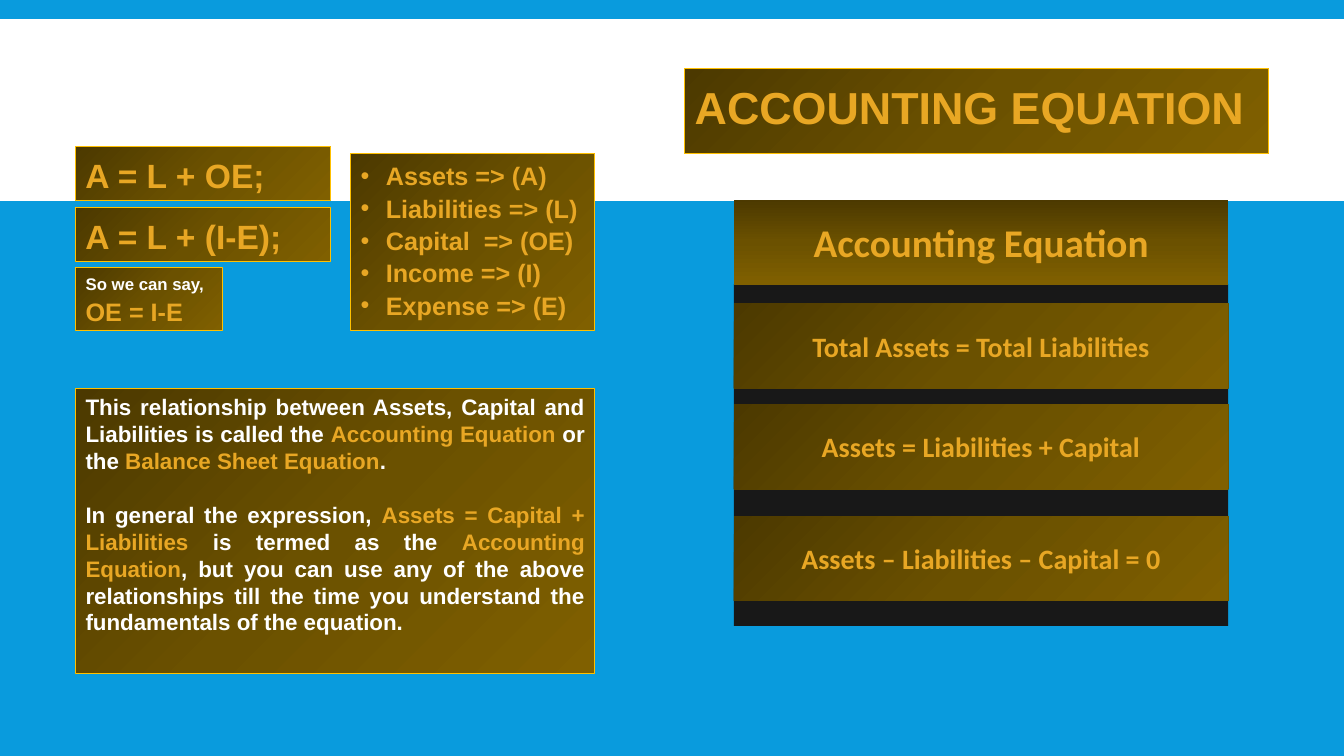
"""Build the accounting equation slide."""
from copy import deepcopy
from dataclasses import dataclass
from typing import Optional

from lxml.etree import SubElement
from pptx import Presentation
from pptx.dml.color import RGBColor
from pptx.enum.shapes import MSO_SHAPE as Shp
from pptx.enum.text import MSO_ANCHOR as Anchor, MSO_AUTO_SIZE as Auto, PP_ALIGN as Align
from pptx.oxml.ns import qn
from pptx.util import Pt

COLORS = {"sky": "099BDD", "white": "FFFFFF", "panel": "181818", "gold": "E8A724",
          "line": "FFC000", "dark": "4C3900", "mid": "6B5100", "light": "806000"}


@dataclass
class Span:
    """A stretch of text in one colour and size."""
    text: str
    size: float
    color: str = "gold"


@dataclass
class Box:
    """A gradient box with its text; spacing is a factor or a Pt length."""
    left: float
    top: float
    width: float
    height: float
    paras: list[list[Span]]
    font: str = "Arial"
    align: Align = Align.LEFT
    anchor: Anchor = Anchor.MIDDLE
    spacing: float = 1.0
    gap: float = 0
    angle: int = 315
    bordered: bool = True
    bullet: Optional[str] = None
    holder: Optional[int] = None


def rgb(name: str) -> RGBColor:
    """Return a named colour."""
    return RGBColor.from_string(COLORS[name])


def add_rect(s, left: float, top: float, width: float, height: float, color: str) -> None:
    """Draw a plain filled rectangle."""
    sp = s.shapes.add_shape(Shp.RECTANGLE, Pt(left), Pt(top), Pt(width), Pt(height))
    sp.shadow.inherit = False
    sp.fill.solid()
    sp.fill.fore_color.rgb = rgb(color)
    sp.line.fill.background()


def fill_gradient(sp, angle: int) -> None:
    """Fill a shape with the three-stop brown gradient."""
    sp.fill.gradient()
    sp.fill.gradient_angle = angle
    stops = sp._element.spPr.find(qn("a:gradFill")).find(qn("a:gsLst"))
    stops.insert(1, deepcopy(stops[0]))
    for stop, name, pos in zip(sp.fill.gradient_stops, ("dark", "mid", "light"), (0, 0.5, 1)):
        stop.color.rgb = rgb(name)
        stop.position = pos


def set_bullet(p, char: Optional[str]) -> None:
    """Give a paragraph a hanging bullet, or none."""
    pPr = p._p.get_or_add_pPr()
    indent = Pt(18) if char else 0
    pPr.set("marL", str(indent))
    pPr.set("indent", str(-indent))
    if char:
        SubElement(pPr, qn("a:buFont"), typeface="Arial")
        SubElement(pPr, qn("a:buChar"), char=char)
    else:
        SubElement(pPr, qn("a:buNone"))


def add_box(s, box: Box) -> None:
    """Draw a gradient box, in a placeholder where one is named."""
    frame = [Pt(v) for v in (box.left, box.top, box.width, box.height)]
    if box.holder is None:
        sp = s.shapes.add_shape(Shp.RECTANGLE, *frame)
        sp.shadow.inherit = False
    else:
        sp = s.placeholders[box.holder]
        sp.left, sp.top, sp.width, sp.height = frame
    fill_gradient(sp, box.angle)
    if box.bordered:
        sp.line.color.rgb = rgb("line")
        sp.line.width = Pt(0.75)
    else:
        sp.line.fill.background()
    tf = sp.text_frame
    tf.word_wrap = True
    tf.auto_size = Auto.NONE
    tf.vertical_anchor = box.anchor
    for i, spans in enumerate(box.paras):
        p = tf.paragraphs[0] if i == 0 else tf.add_paragraph()
        p.alignment = box.align
        p.line_spacing = box.spacing
        p.space_before = Pt(box.gap if i else 0)
        p.space_after = Pt(0)
        set_bullet(p, box.bullet)
        for span in spans:
            r = p.add_run()
            r.text = span.text
            r.font.name = box.font
            r.font.size = Pt(span.size)
            r.font.bold = True
            r.font.color.rgb = rgb(span.color)


ACCOUNTS = ["Assets => (A)", "Liabilities => (L)", "Capital  => (OE)", "Income => (I)",
            "Expense => (E)"]
FORMULAS = [(104.4, "A = L + OE;"), (148.3, "A = L + (I-E);")]
BANDS = [(142.6, "Accounting Equation", 28, 270),
         (216.7, "Total Assets = Total Liabilities", 20, 315),
         (288.7, "Assets = Liabilities + Capital", 20, 315),
         (368.6, "Assets – Liabilities – Capital = 0", 20, 315)]
RELATIONSHIP = [
    [Span("This relationship between Assets, Capital and Liabilities is called the ", 16, "white"),
     Span("Accounting Equation", 16), Span(" or the ", 16, "white"),
     Span("Balance Sheet Equation", 16), Span(".", 16, "white")],
    [Span("In general the expression, ", 16, "white"),
     Span("Assets = Capital + Liabilities ", 16),
     Span("is termed as the ", 16, "white"), Span("Accounting Equation", 16),
     Span(", but you can use any of the above relationships till the time you understand "
          "the fundamentals of the equation.", 16, "white")]]

BOXES = [
    Box(489, 49, 417, 60.5, [[Span("ACCOUNTING EQUATION", 32)]], spacing=0.85, holder=0),
    Box(54, 191, 105, 45.2, [[Span("So we can say,", 12, "white")], [Span("OE = I-E", 18)]],
        anchor=Anchor.TOP, spacing=1.07, holder=1),
    Box(250.4, 109.6, 174.4, 126.6, [[Span(text, 18)] for text in ACCOUNTS],
        align=Align.JUSTIFY, anchor=Anchor.TOP, spacing=Pt(23.1), bullet="•", holder=2),
    Box(54, 277.6, 370.8, 203.5, RELATIONSHIP, align=Align.JUSTIFY, anchor=Anchor.TOP,
        spacing=Pt(19.2), gap=19.2),
    *[Box(524.2, top, 353, 60.7, [[Span(text, size)]], font="Calibri", align=Align.CENTER,
          angle=angle, bordered=False) for top, text, size, angle in BANDS],
    *[Box(54, top, 182.2, 38.8, [[Span(text, 24)]], spacing=1.07) for top, text in FORMULAS],
]


def main() -> None:
    """Build and save the slide."""
    prs = Presentation()
    prs.slide_width, prs.slide_height = Pt(960), Pt(540)
    s = prs.slides.add_slide(prs.slide_layouts[3])
    s.background.fill.solid()
    s.background.fill.fore_color.rgb = rgb("sky")
    add_rect(s, 0, 13.7, 960, 129.8, "white")
    s.shapes._spTree.insert(2, s.shapes[-1]._element)
    add_rect(s, 524.2, 203, 353, 244.1, "panel")
    for box in BOXES:
        add_box(s, box)
    prs.save("out.pptx")


if __name__ == "__main__":
    main()
